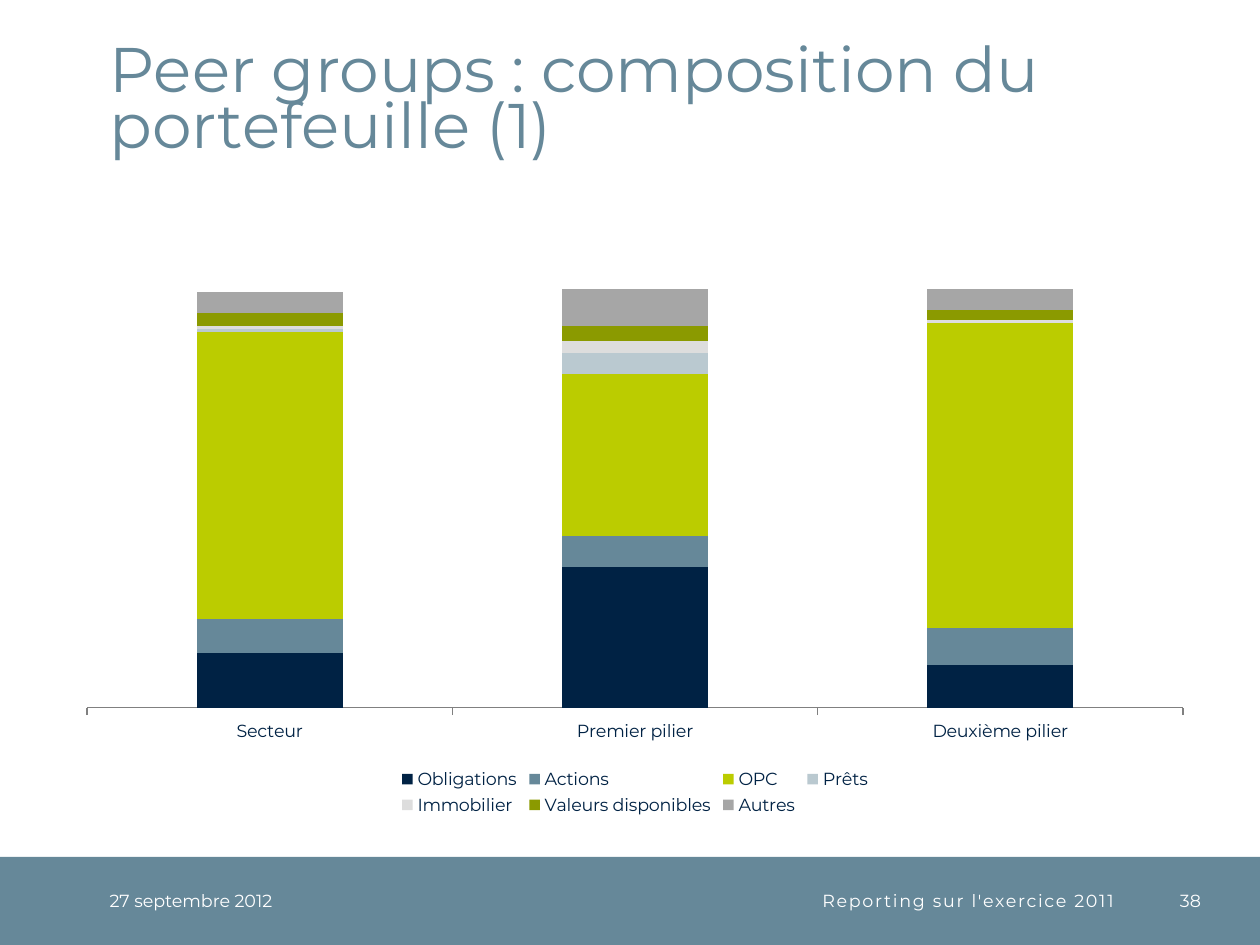
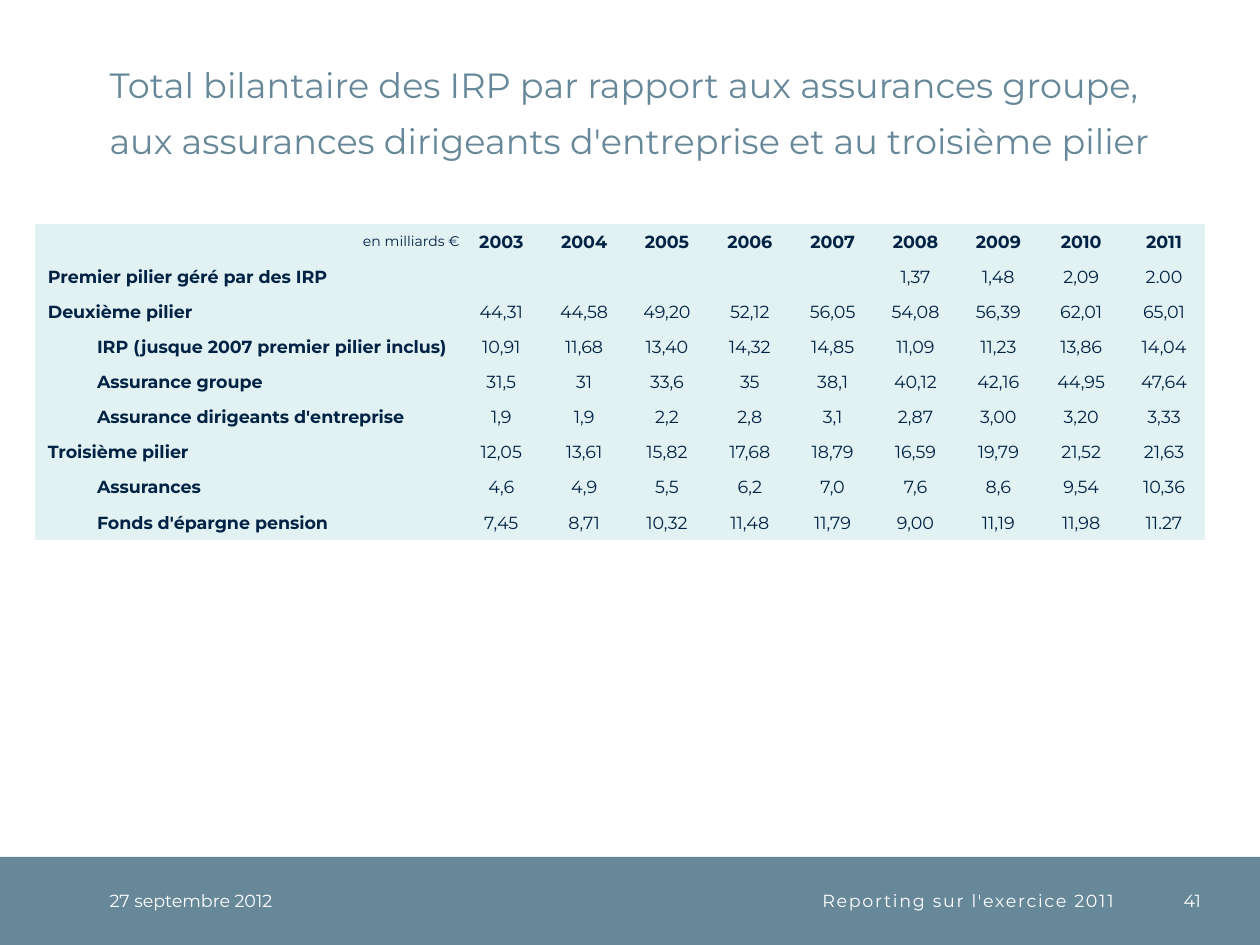
from dataclasses import dataclass
from lxml.etree import SubElement as Sub
from pptx import Presentation
from pptx.chart.data import CategoryChartData as Data
from pptx.dml.color import RGBColor as Rgb
from pptx.enum.chart import XL_CHART_TYPE as Kind, XL_LEGEND_POSITION as Spot
from pptx.enum.chart import XL_TICK_LABEL_POSITION as Label, XL_TICK_MARK as Tick
from pptx.enum.shapes import MSO_SHAPE as Form
from pptx.enum.text import MSO_ANCHOR as Anchor, PP_ALIGN as Align
from pptx.oxml.ns import qn
from pptx.util import Inches, Pt


@dataclass(frozen=True)
class Theme:
    face: str = "Montserrat"
    navy: str = "002244"
    slate: str = "668899"
    lime: str = "BBCC00"
    mist: str = "BAC9D0"
    pale: str = "DDDDDD"
    olive: str = "8B9A00"
    grey: str = "A6A6A6"
    line: str = "808080"
    ice: str = "E2F2F3"
    white: str = "FFFFFF"
    head: int = 36
    sub: int = 20
    body: int = 10
    note: int = 8
    lead: int = 32


@dataclass(frozen=True)
class Box:
    x: float
    y: float
    w: float
    h: float

    def cut(self, x, y, w, h):
        return Box(self.x + x, self.y + y, w, h)

    def size(self):
        return [grid(n) for n in (self.x, self.y, self.w, self.h)]


def grid(n):
    return Inches(n / 10)


T = Theme()
PAGE = Box(0, 0, 100, 75)
PLAIN = "{2D5ABB26-0587-4C30-8999-92F81FD0307C}"

CATS = ["Secteur", "Premier pilier", "Deuxième pilier"]
MIX = [
    ("Obligations", (18, 46, 14), T.navy),
    ("Actions", (11, 10, 12), T.slate),
    ("OPC", (94, 53, 100), T.lime),
    ("Prêts", (1, 7, 0), T.mist),
    ("Immobilier", (1, 4, 1), T.pale),
    ("Valeurs disponibles", (4, 5, 3), T.olive),
    ("Autres", (7, 12, 7), T.grey),
]

YEARS = [str(year) for year in range(2003, 2012)]
ROWS = [
    (0, "Premier pilier géré par des IRP", [""] * 5 + "1,37 1,48 2,09 2.00".split()),
    (0, "Deuxième pilier",
     "44,31 44,58 49,20 52,12 56,05 54,08 56,39 62,01 65,01".split()),
    (1, "IRP (jusque 2007 premier pilier inclus)",
     "10,91 11,68 13,40 14,32 14,85 11,09 11,23 13,86 14,04".split()),
    (1, "Assurance groupe",
     "31,5 31 33,6 35 38,1 40,12 42,16 44,95 47,64".split()),
    (1, "Assurance dirigeants d'entreprise",
     "1,9 1,9 2,2 2,8 3,1 2,87 3,00 3,20 3,33".split()),
    (0, "Troisième pilier",
     "12,05 13,61 15,82 17,68 18,79 16,59 19,79 21,52 21,63".split()),
    (1, "Assurances", "4,6 4,9 5,5 6,2 7,0 7,6 8,6 9,54 10,36".split()),
    (1, "Fonds d'épargne pension",
     "7,45 8,71 10,32 11,48 11,79 9,00 11,19 11,98 11.27".split()),
]


def style(font, size, tint, bold=False):
    font.name, font.size, font.bold = T.face, Pt(size), bold
    font.color.rgb = Rgb.from_string(tint)


def paint(part, tint):
    part.fill.solid()
    part.fill.fore_color.rgb = Rgb.from_string(tint)


def write(para, text, size, tint, align=Align.LEFT, bold=False):
    para.alignment = align
    run = para.add_run()
    run.text = text
    style(run.font, size, tint, bold)
    return run


def add_text(slide, box, text, size, tint, align=Align.LEFT, anchor=Anchor.MIDDLE):
    frame = slide.shapes.add_textbox(*box.size()).text_frame
    frame.word_wrap = True
    frame.vertical_anchor = anchor
    frame.margin_left = frame.margin_right = frame.margin_top = frame.margin_bottom = 0
    return write(frame.paragraphs[0], text, size, tint, align), frame.paragraphs[0]


def add_title(slide, box, text, size):
    para = add_text(slide, box, text, size, T.slate, anchor=Anchor.BOTTOM)[1]
    para.line_spacing = Pt(T.lead)


def add_foot(slide, box, num):
    band = slide.shapes.add_shape(Form.RECTANGLE, *box.size())
    band.shadow.inherit = False
    paint(band, T.slate)
    band.line.fill.background()
    add_text(slide, box.cut(8.7, 0, 17.7, box.h), "27 septembre 2012", T.body, T.white)
    run = add_text(slide, box.cut(26.4, 0, 62, box.h), "Reporting sur l'exercice 2011",
                   T.body, T.white, Align.RIGHT)[0]
    run.font._element.set("spc", "100")
    add_text(slide, box.cut(90.4, 0, 4.9, box.h), str(num), T.body, T.white, Align.RIGHT)


def place(part, inner, **spots):
    layout = part.find(qn("c:layout"))
    if layout is None:
        layout = part.makeelement(qn("c:layout"))
        part.insert(1 if part.tag == qn("c:legend") else 0, layout)
    for old in list(layout):
        layout.remove(old)
    manual = Sub(layout, qn("c:manualLayout"))
    if inner:
        Sub(manual, qn("c:layoutTarget")).set("val", "inner")
    for mode in ("xMode", "yMode"):
        Sub(manual, qn("c:" + mode)).set("val", "edge")
    for key, val in spots.items():
        Sub(manual, qn("c:" + key)).set("val", str(val))


def add_stack(slide, box):
    data = Data()
    data.categories = CATS
    for name, vals, _ in MIX:
        data.add_series(name, vals)
    chart = slide.shapes.add_chart(Kind.COLUMN_STACKED, *box.size(), data).chart
    style(chart.font, T.body, T.navy)
    chart.has_title = False
    plot = chart.plots[0]
    plot.vary_by_categories = False
    plot.overlap, plot.gap_width = 100, 150
    for bar, (_, _, tint) in zip(plot.series, MIX):
        paint(bar.format, tint)
    axis = chart.value_axis
    axis.visible = axis.has_major_gridlines = False
    axis.minimum_scale, axis.maximum_scale = 0, 137
    axis.tick_labels.number_format = "0.00%"
    axis.tick_labels.number_format_is_linked = False
    base = chart.category_axis
    base.major_tick_mark = Tick.OUTSIDE
    base.tick_label_position = Label.LOW
    base.format.line.color.rgb = Rgb.from_string(T.line)
    base.format.line.width = Pt(0.75)
    chart.has_legend = True
    key = chart.legend
    key.position, key.include_in_layout = Spot.BOTTOM, False
    style(key.font, T.body, T.navy)
    place(key._element, False, x=0.29, y=0.91, w=0.42, h=0.09)
    area = chart._chartSpace.chart.plotArea
    place(area, True, x=0.02, y=0.15, w=0.96, h=0.67)


def fill_cell(cell, text, size, align, bold, dent=0):
    paint(cell, T.ice)
    cell.vertical_anchor = Anchor.MIDDLE
    cell.margin_left = cell.margin_right = cell.margin_top = cell.margin_bottom = 0
    para = cell.text_frame.paragraphs[0]
    if text:
        write(para, text, size, T.navy, align, bold)
    else:
        para._p.get_or_add_endParaRPr().set("sz", str(size * 100))
    if dent:
        para._p.get_or_add_pPr().set("marL", str(grid(dent)))


def add_grid(slide, box, first):
    rows, cols = len(ROWS) + 1, len(YEARS) + 1
    table = slide.shapes.add_table(rows, cols, *box.size()).table
    table.first_row = table.horz_banding = False
    table._tbl.tblPr.find(qn("a:tableStyleId")).text = PLAIN
    for i, col in enumerate(table.columns):
        col.width = grid((box.w - first) / len(YEARS) if i else first)
    for row in table.rows:
        row.height = grid(box.h / rows)
    lines = [(0, "en milliards €", YEARS)] + ROWS
    for r, (level, name, vals) in enumerate(lines):
        top = r == 0
        fill_cell(table.cell(r, 0), name, T.note if top else T.body,
                  Align.RIGHT if top else Align.LEFT, not top, 4.9 if level else 1)
        for c, val in enumerate(vals, 1):
            fill_cell(table.cell(r, c), val, T.body, Align.CENTER, top)


def add_page(deck, title, size, num):
    slide = deck.slides.add_slide(deck.slide_layouts[6])
    add_foot(slide, PAGE.cut(0, 68, PAGE.w, 7), num)
    add_title(slide, PAGE.cut(8.7, 2, 86.3, 10.8), title, size)
    return slide


def main():
    deck = Presentation()
    deck.slide_width, deck.slide_height = grid(PAGE.w), grid(PAGE.h)
    peers = add_page(deck, "Peer groups : composition du portefeuille (1)", T.head, 38)
    add_stack(peers, PAGE.cut(5.1, 15.5, 90.6, 49.6))
    total = add_page(deck, "Total bilantaire des IRP par rapport aux assurances groupe, "
                     "aux assurances dirigeants d'entreprise et au troisième pilier", T.sub, 41)
    add_grid(total, PAGE.cut(2.8, 17.8, 92.9, 25.1), 33.7)
    deck.save("out.pptx")


if __name__ == "__main__":
    main()
